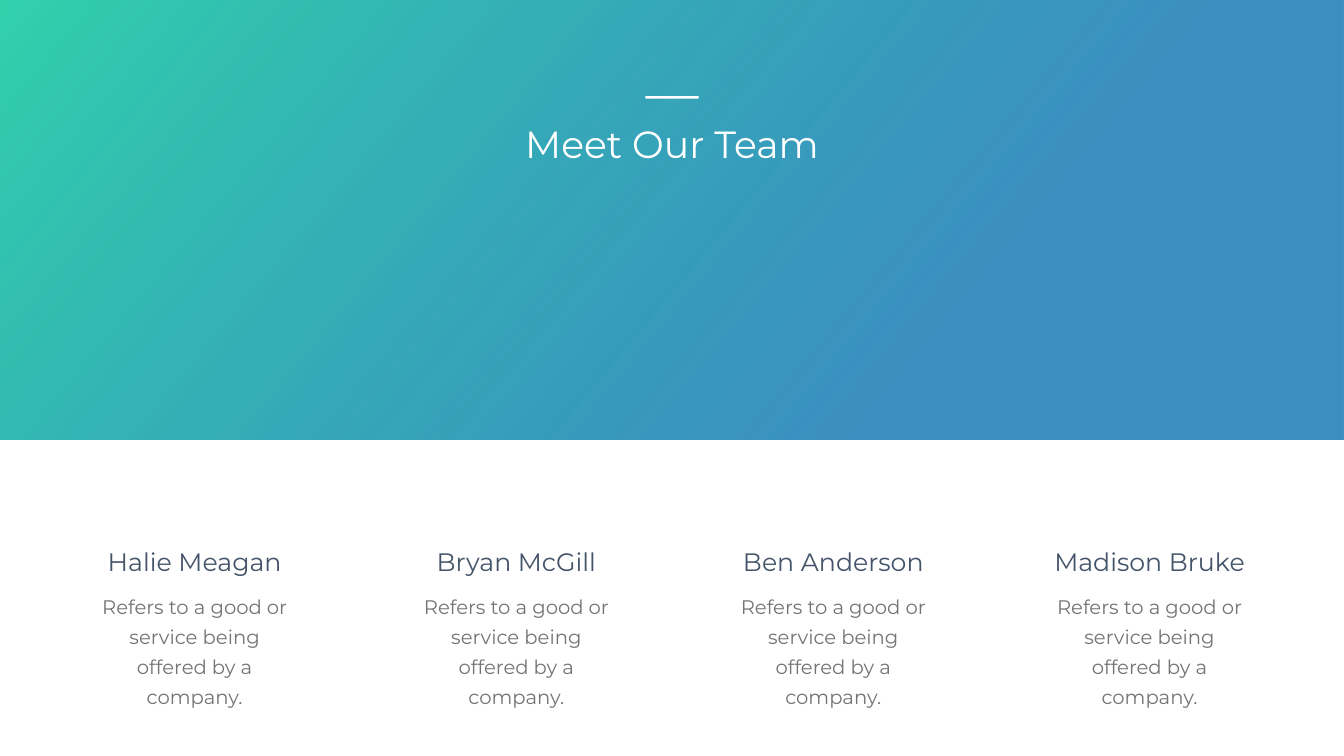
"""Build a team slide: a gradient banner with the title above four members."""
from lxml import etree
from pptx import Presentation
from pptx.dml.color import RGBColor
from pptx.enum.shapes import MSO_SHAPE
from pptx.enum.text import MSO_ANCHOR, MSO_AUTO_SIZE, PP_ALIGN
from pptx.oxml.ns import qn
from pptx.util import Inches, Pt

RECTANGLE = MSO_SHAPE.RECTANGLE
CENTER = PP_ALIGN.CENTER
TOP = MSO_ANCHOR.TOP
GROW = MSO_AUTO_SIZE.SHAPE_TO_FIT_TEXT

GREEN = RGBColor(0x33, 0xD1, 0xAD)
BLUE = RGBColor(0x0D, 0x73, 0xB2)
WHITE = RGBColor(0xFF, 0xFF, 0xFF)
NAVY = RGBColor(0x44, 0x54, 0x69)
GRAY = RGBColor(0x73, 0x75, 0x72)

FONT = "Montserrat"
BIO = "Refers to a good or service being offered by a company."
MEMBERS = [
    ("Halie Meagan", 14.48),
    ("Bryan McGill", 38.42),
    ("Ben Anderson", 62),
    ("Madison Bruke", 85.53),
]

deck = Presentation()
deck.slide_width, deck.slide_height = Inches(26.66), Inches(15)
COLUMN, ROW = deck.slide_width / 100, deck.slide_height / 100
slide = deck.slides.add_slide(deck.slide_layouts[5])


def centered(middle, top, width, height):
    """Return left, top, width and height around a middle column."""
    return (int((middle - width / 2) * COLUMN), int(top * ROW),
            int(width * COLUMN), int(height * ROW))


def write(holder, text, size, color, wrap=True, frame_format=None, line_spacing=None):
    """Fill a text holder with one centred paragraph."""
    frame = holder.text_frame
    settings = {"word_wrap": wrap, "auto_size": GROW, "vertical_anchor": TOP}
    for key, value in {**settings, **(frame_format or {})}.items():
        setattr(frame, key, value)
    paragraph = frame.paragraphs[0]
    paragraph.text = text
    paragraph.alignment = CENTER
    paragraph.line_spacing = line_spacing
    font = paragraph.runs[0].font
    for key, value in {"name": FONT, "size": Pt(size)}.items():
        setattr(font, key, value)
    font.color.rgb = color


banner = slide.shapes.add_shape(RECTANGLE, *centered(50, 0, 100, 58.07))
banner.shadow.inherit = False
banner.line.fill.background()
banner.fill.gradient()
banner.fill.gradient_angle = 320
for stop, color, position in zip(banner.fill.gradient_stops, (GREEN, BLUE), (0, 0.73)):
    stop.color.rgb = color
    stop.position = position
blue_stop = banner._element.spPr.findall(".//" + qn("a:srgbClr"))[-1]
etree.SubElement(blue_stop, qn("a:alpha"), val="80000")

title = slide.shapes.title
slide.shapes._spTree.append(title._element)
title.left, title.top, title.width, title.height = centered(50, 15.6, 23, 6.73)
write(title, "Meet Our Team", 54, WHITE, wrap=False)

accent = slide.shapes.add_shape(RECTANGLE, *centered(50, 12.73, 3.98, 0.33))
accent.shadow.inherit = False
accent.line.fill.background()
accent.fill.solid()
accent.fill.fore_color.rgb = WHITE

BIO_MARGINS = {
    "margin_left": Inches(0.24),
    "margin_right": Inches(0.24),
    "margin_top": Inches(0.12),
    "margin_bottom": Inches(0.12),
}
for member, middle in MEMBERS:
    name = slide.shapes.add_textbox(*centered(middle, 72, 16, 4.73))
    write(name, member, 36, NAVY)
    bio = slide.shapes.add_textbox(*centered(middle, 77, 16.92, 13.33))
    write(bio, BIO, 28, GRAY, frame_format=BIO_MARGINS, line_spacing=Pt(43))

deck.save("out.pptx")
